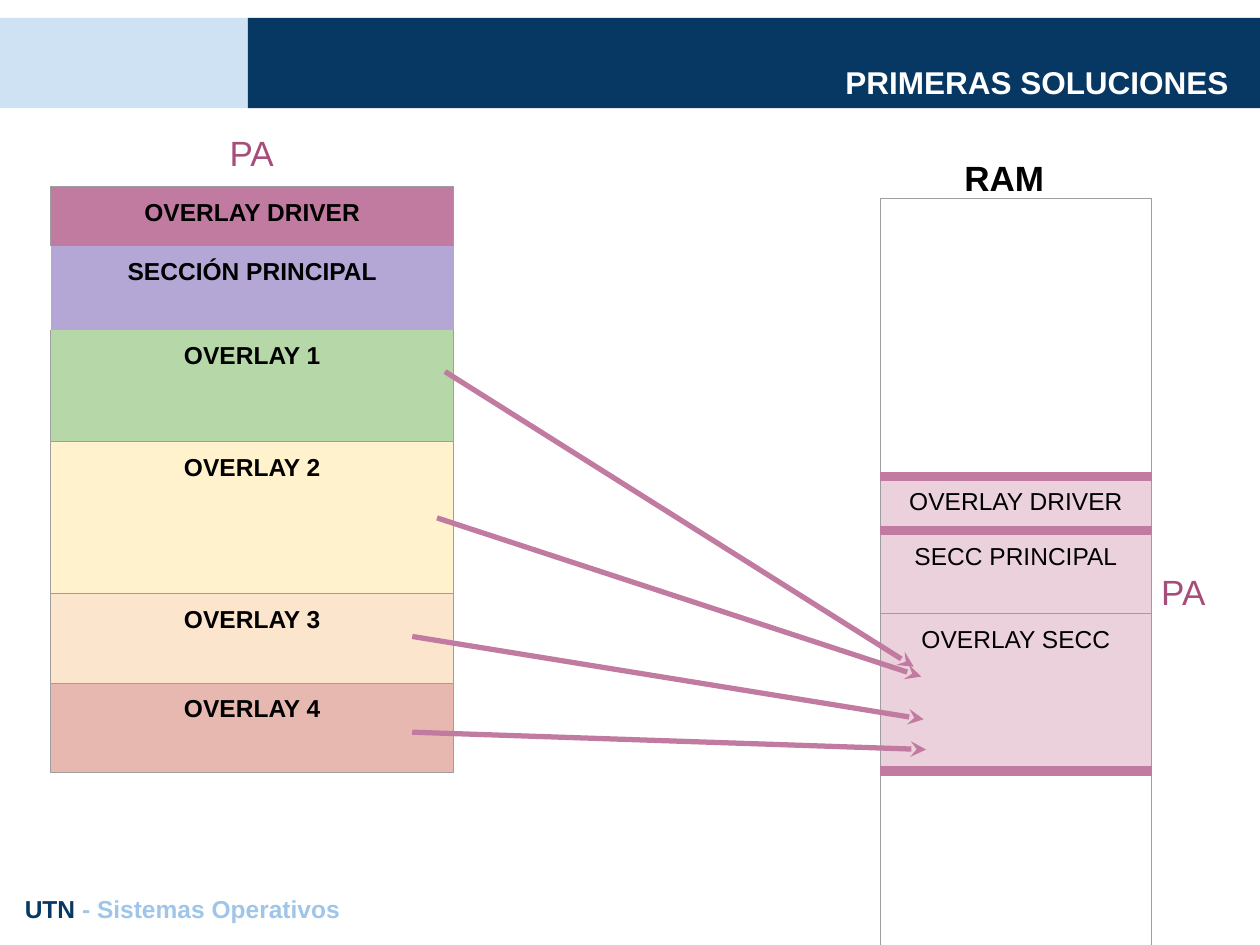
from lxml import etree
from pptx import Presentation
from pptx import util as u
from pptx.dml.color import RGBColor
from pptx.enum import shapes, text
from pptx.oxml import ns

FONT = "Arial"
BLACK = RGBColor(0x00, 0x00, 0x00)
WHITE = RGBColor(0xFF, 0xFF, 0xFF)
NAVY = RGBColor(0x07, 0x37, 0x63)
PALE_BLUE = RGBColor(0xCF, 0xE2, 0xF3)
SKY = RGBColor(0x9F, 0xC5, 0xE8)
GREY = RGBColor(0x9E, 0x9E, 0x9E)
MAGENTA = RGBColor(0xA6, 0x4D, 0x79)
PINK = RGBColor(0xC2, 0x7B, 0xA0)
PALE_PINK = RGBColor(0xEA, 0xD1, 0xDC)
LILAC = RGBColor(0xB4, 0xA7, 0xD6)
GREEN = RGBColor(0xB6, 0xD7, 0xA8)
YELLOW = RGBColor(0xFF, 0xF2, 0xCC)
PEACH = RGBColor(0xFC, 0xE5, 0xCD)
SALMON = RGBColor(0xE6, 0xB8, 0xAF)

MARGIN = u.Cm(0.25)
THIN = (GREY, 0.75)
THICK = (PINK, 6)
LEFT, CENTER, RIGHT = text.PP_ALIGN.LEFT, text.PP_ALIGN.CENTER, text.PP_ALIGN.RIGHT


class SlideBuilder:
    """Draws elements in one style on the current slide."""

    def __init__(self, slide):
        self.slide = slide

    def add_runs(self, paragraph, runs, size, bold, align):
        paragraph.alignment = align
        for words, color in runs:
            run = paragraph.add_run()
            run.text = words
            run.font.name = FONT
            run.font.size = u.Pt(size)
            run.font.bold = bold
            run.font.color.rgb = color

    def band(self, left, top, width, height, color):
        shape = self.slide.shapes.add_shape(
            shapes.MSO_SHAPE.RECTANGLE, u.Cm(left), u.Cm(top), u.Cm(width), u.Cm(height))
        shape.shadow.inherit = False
        shape.fill.solid()
        shape.fill.fore_color.rgb = color
        shape.line.fill.background()

    def label(self, left, top, width, height, runs, size, bold=False,
              align=CENTER, anchor=text.MSO_ANCHOR.TOP):
        box = self.slide.shapes.add_textbox(
            u.Cm(left), u.Cm(top), u.Cm(width), u.Cm(height))
        frame = box.text_frame
        frame.word_wrap = True
        frame.vertical_anchor = anchor
        frame.margin_left = frame.margin_right = MARGIN
        frame.margin_top = frame.margin_bottom = MARGIN
        self.add_runs(frame.paragraphs[0], runs, size, bold, align)

    def borders(self, cell, left, right, top, bottom):
        properties = cell._tc.get_or_add_tcPr()
        sides = {"lnL": left, "lnR": right, "lnT": top, "lnB": bottom}
        for position, (tag, border) in enumerate(sides.items()):
            line = etree.Element(ns.qn("a:" + tag))
            if border:
                color, width = border
                line.set("w", str(u.Pt(width)))
                fill = etree.SubElement(line, ns.qn("a:solidFill"))
                etree.SubElement(fill, ns.qn("a:srgbClr"), val=str(color))
            else:
                etree.SubElement(line, ns.qn("a:noFill"))
            properties.insert(position, line)

    def memory_table(self, left, top, width, rows, edges, bold):
        """rows: (words, height, fill, side border); edges: lines above and below rows."""
        height = sum(row[1] for row in rows)
        table = self.slide.shapes.add_table(
            len(rows), 1, u.Cm(left), u.Cm(top), u.Cm(width), u.Cm(height)).table
        table.first_row = table.horz_banding = False
        for index, (words, row_height, fill, side) in enumerate(rows):
            table.rows[index].height = u.Cm(row_height)
            cell = table.cell(index, 0)
            cell.margin_left = cell.margin_right = MARGIN
            cell.margin_top = cell.margin_bottom = MARGIN
            if fill:
                cell.fill.solid()
                cell.fill.fore_color.rgb = fill
            else:
                cell.fill.background()
            self.borders(cell, side, side, edges[index], edges[index + 1])
            if words:
                self.add_runs(cell.text_frame.paragraphs[0], [(words, BLACK)], 14, bold, CENTER)
        return table

    def arrows(self, routes):
        group = self.slide.shapes.add_group_shape()
        for route in routes:
            connector = group.shapes.add_connector(
                shapes.MSO_CONNECTOR.STRAIGHT, *(u.Cm(value) for value in route))
            connector.line.color.rgb = PINK
            connector.line.width = u.Pt(3)
            etree.SubElement(connector.line._get_or_add_ln(), ns.qn("a:tailEnd"), type="stealth")
            etree.SubElement(connector._element.spPr, ns.qn("a:effectLst"))


def main():
    presentation = Presentation()
    presentation.slide_width, presentation.slide_height = u.Cm(25.4), u.Cm(19.05)
    builder = SlideBuilder(presentation.slides.add_slide(presentation.slide_layouts[6]))

    # Header and footer
    builder.band(0, 0.36, 5, 1.82, PALE_BLUE)
    builder.band(5, 0.36, 20.4, 1.82, NAVY)
    builder.label(3.43, 1.02, 21.59, 1.27, [("PRIMERAS SOLUCIONES", WHITE)], 18,
                  bold=True, align=RIGHT, anchor=text.MSO_ANCHOR.BOTTOM)
    builder.label(0.25, 17.78, 24.9, 1.12,
                  [("UTN", NAVY), (" - Sistemas Operativos", SKY)], 14, bold=True, align=LEFT)

    # Program sections
    builder.memory_table(1.02, 3.76, 8.13, [
        ("OVERLAY DRIVER", 1.19, PINK, THIN),
        ("SECCIÓN PRINCIPAL", 1.7, LILAC, None),
        ("OVERLAY 1", 2.25, GREEN, THIN),
        ("OVERLAY 2", 3.07, YELLOW, THIN),
        ("OVERLAY 3", 1.8, PEACH, THIN),
        ("OVERLAY 4", 1.8, SALMON, THIN),
    ], [THIN, None, None, THIN, THIN, THIN, THIN], bold=True)

    # RAM contents
    ram = builder.memory_table(17.75, 4.01, 5.46, [
        (None, 5.59, None, THIN),
        ("OVERLAY DRIVER", 0.97, PALE_PINK, THIN),
        ("SECC PRINCIPAL", 1.68, PALE_PINK, THIN),
        ("OVERLAY SECC", 3.17, PALE_PINK, THIN),
        (None, 2.03, None, THIN),
        (None, 2.03, None, THIN),
    ], [THIN, THICK, THICK, THIN, THICK, None, THIN], bold=False)
    ram.cell(4, 0).merge(ram.cell(5, 0))

    # Captions
    builder.label(18.95, 2.9, 2.59, 1.12, [("RAM", BLACK)], 20, bold=True)
    for left, top in ((3.78, 2.41), (22.56, 11.25)):
        builder.label(left, top, 2.59, 1.12, [("PA", MAGENTA)], 20)

    # Overlays loaded into the shared section
    builder.arrows([
        (8.97, 7.49, 18.42, 13.44),
        (8.81, 10.44, 18.57, 13.64),
        (8.31, 12.83, 18.62, 14.5),
        (8.31, 14.76, 18.67, 15.11),
    ])

    presentation.save("out.pptx")


if __name__ == "__main__":
    main()
